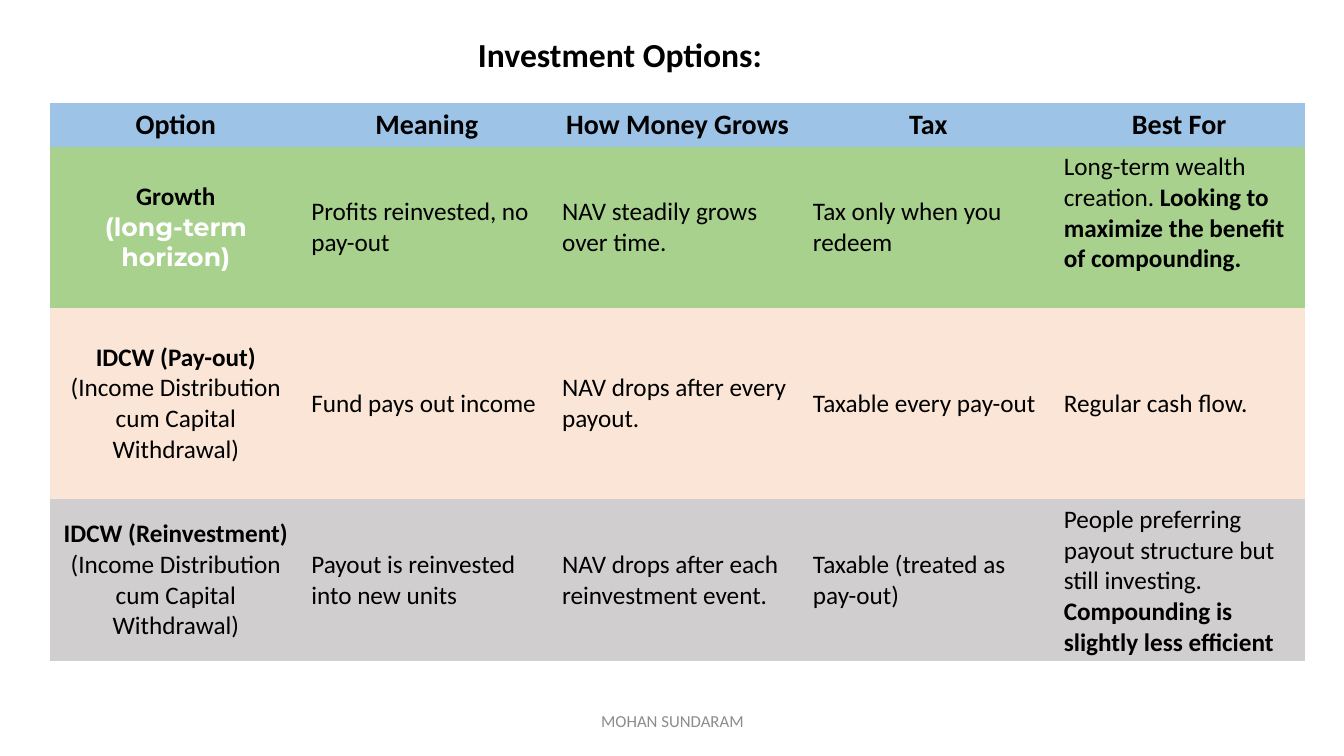
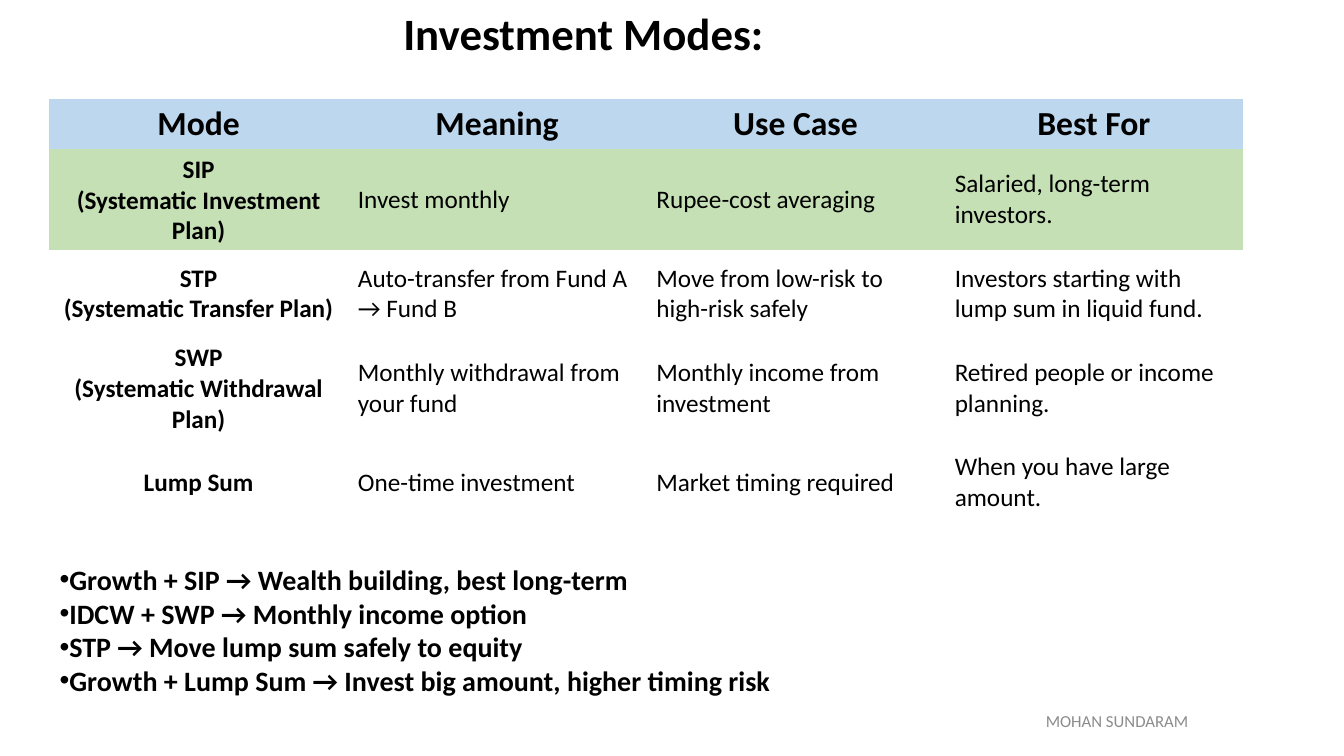
from pptx import Presentation
from pptx.dml.color import RGBColor
from pptx.enum.text import MSO_ANCHOR, MSO_AUTO_SIZE, PP_ALIGN
from pptx.oxml.ns import qn
from pptx.util import Inches, Pt

BLACK = RGBColor(0x00, 0x00, 0x00)
WHITE = RGBColor(0xFF, 0xFF, 0xFF)
GRAY = RGBColor(0x8C, 0x8C, 0x8C)
BLUE = RGBColor(0x9D, 0xC3, 0xE6)
PALE_BLUE = RGBColor(0xBD, 0xD7, 0xEE)
GREEN = RGBColor(0xA9, 0xD1, 0x8E)
PALE_GREEN = RGBColor(0xC5, 0xE0, 0xB4)
PEACH = RGBColor(0xFB, 0xE5, 0xD6)
SILVER = RGBColor(0xD0, 0xCE, 0xCE)

PLAIN = {"name": "Calibri", "size": Pt(18), "bold": False, "color": BLACK}
BOLD = {**PLAIN, "bold": True}
ACCENT = {**BOLD, "name": "Montserrat", "color": WHITE}
BULLET = {**BOLD, "size": Pt(20)}
FOOTER = {**PLAIN, "size": Pt(12), "color": GRAY}
NO_GRID_STYLE = "{2D5ABB26-0587-4C30-8999-92F81FD0307C}"
IDCW = "(Income Distribution cum Capital Withdrawal)"

SLIDES = [
    {
        "layout": 5,
        "title": "Investment Options:",
        "title_size": 24,
        "title_box": (4.64, 0.31, 3.05, 0.5),
        "footer_left": 4.42,
        "table_box": (0.5, 1.02, 12.44, 5.53),
        "header": ["Option", "Meaning", "How Money Grows", "Tax", "Best For"],
        "header_size": 20,
        "row_heights": [0.43, 1.6, 1.9, 1.6],
        "fills": [BLUE, GREEN, PEACH, SILVER],
        "rows": [
            [
                [[("Growth", BOLD)], [("(long-term horizon)", ACCENT)]],
                "Profits reinvested, no pay-out",
                "NAV steadily grows over time.",
                "Tax only when you redeem",
                [[("Long-term wealth creation. ", PLAIN),
                  ("Looking to maximize the benefit of compounding.", BOLD)]],
            ],
            [
                [[("IDCW (Pay-out)", BOLD)], [(IDCW, PLAIN)]],
                "Fund pays out income",
                "NAV drops after every payout.",
                "Taxable every pay-out",
                "Regular cash flow.",
            ],
            [
                [[("IDCW (Reinvestment)", BOLD)], [(IDCW, PLAIN)]],
                "Payout is reinvested into new units",
                "NAV drops after each reinvestment event.",
                "Taxable (treated as pay-out)",
                [[("People preferring payout structure but still investing.", PLAIN)],
                 [("Compounding is slightly less efficient", BOLD)]],
            ],
        ],
        "bottom_margins": {(1, 4): 0.35},
        "bullets": [],
    },
    {
        "layout": 1,
        "title": "Investment Modes:",
        "title_size": 32,
        "title_box": (3.9, 0.05, 5.03, 0.61),
        "footer_left": 8.83,
        "table_box": (0.49, 0.98, 11.84, 3.98),
        "header": ["Mode", "Meaning", "Use Case", "Best For"],
        "header_size": 24,
        "row_heights": [0.5] + [0.87] * 4,
        "fills": [PALE_BLUE, PALE_GREEN, None, None, None],
        "rows": [
            [
                [[("SIP", BOLD)], [("(Systematic Investment Plan)", BOLD)]],
                "Invest monthly",
                "Rupee-cost averaging",
                "Salaried, long-term investors.",
            ],
            [
                [[("STP", BOLD)], [("(Systematic Transfer Plan)", BOLD)]],
                "Auto-transfer from Fund A → Fund B",
                "Move from low-risk to high-risk safely",
                "Investors starting with lump sum in liquid fund.",
            ],
            [
                [[("SWP", BOLD)], [("(Systematic Withdrawal Plan)", BOLD)]],
                "Monthly withdrawal from your fund",
                "Monthly income from investment",
                "Retired people or income planning.",
            ],
            [
                [[("Lump Sum", BOLD)]],
                "One-time investment",
                "Market timing required",
                "When you have large amount.",
            ],
        ],
        "bottom_margins": {},
        "bullets": [
            "Growth + SIP → Wealth building, best long-term",
            "IDCW + SWP → Monthly income option",
            "STP → Move lump sum safely to equity",
            "Growth + Lump Sum → Invest big amount, higher timing risk",
        ],
    },
]


def write_paragraphs(text_frame, paragraphs, alignment):
    for index, runs in enumerate(paragraphs):
        paragraph = text_frame.add_paragraph() if index else text_frame.paragraphs[0]
        paragraph.alignment = alignment
        for text, text_format in runs:
            run = paragraph.add_run()
            run.text = text
            for attribute, value in text_format.items():
                if attribute == "color":
                    run.font.color.rgb = value
                else:
                    setattr(run.font, attribute, value)


def place(shape, box):
    for attribute, value in zip(("left", "top", "width", "height"), box):
        setattr(shape, attribute, Inches(value))


presentation = Presentation()
presentation.slide_width = Inches(13.33)
presentation.slide_height = Inches(7.5)

for content in SLIDES:
    slide = presentation.slides.add_slide(presentation.slide_layouts[content["layout"]])

    title = slide.shapes.title
    place(title, content["title_box"])
    title.text_frame.auto_size = MSO_AUTO_SIZE.NONE
    title.text_frame.vertical_anchor = MSO_ANCHOR.MIDDLE
    title_format = {**BOLD, "size": Pt(content["title_size"])}
    write_paragraphs(title.text_frame, [[(content["title"], title_format)]], PP_ALIGN.LEFT)
    title.text_frame.paragraphs[0].line_spacing = 0.9

    footer = slide.shapes.add_textbox(
        Inches(content["footer_left"]), Inches(6.95), Inches(4.5), Inches(0.4))
    footer.text_frame.word_wrap = True
    footer.text_frame.vertical_anchor = MSO_ANCHOR.MIDDLE
    write_paragraphs(footer.text_frame, [[("MOHAN SUNDARAM", FOOTER)]], PP_ALIGN.CENTER)

    header_format = {**BOLD, "size": Pt(content["header_size"])}
    header = [[[(text, header_format)]] for text in content["header"]]
    rows = [header] + content["rows"]
    table_box = [Inches(value) for value in content["table_box"]]
    table_frame = slide.shapes.add_table(len(rows), len(header), *table_box)
    next(table_frame._element.iter(qn("a:tableStyleId"))).text = NO_GRID_STYLE
    table = table_frame.table
    for row_index, row in enumerate(rows):
        table.rows[row_index].height = Inches(content["row_heights"][row_index])
        fill = content["fills"][row_index]
        for column_index, value in enumerate(row):
            cell = table.cell(row_index, column_index)
            cell.vertical_anchor = MSO_ANCHOR.MIDDLE
            if fill is None:
                cell.fill.background()
            else:
                cell.fill.solid()
                cell.fill.fore_color.rgb = fill
            if (row_index, column_index) in content["bottom_margins"]:
                cell.margin_bottom = Inches(content["bottom_margins"][row_index, column_index])
            paragraphs = [[(value, PLAIN)]] if isinstance(value, str) else value
            centered = row_index == 0 or column_index == 0
            alignment = PP_ALIGN.CENTER if centered else PP_ALIGN.LEFT
            write_paragraphs(cell.text_frame, paragraphs, alignment)

    if content["bullets"]:
        body = slide.placeholders[1]
        place(body, (0.49, 5.53, 8.62, 1.45))
        body.text_frame.auto_size = MSO_AUTO_SIZE.NONE
        bullets = [[(text, BULLET)] for text in content["bullets"]]
        write_paragraphs(body.text_frame, bullets, PP_ALIGN.LEFT)
        for paragraph in body.text_frame.paragraphs:
            paragraph.space_before = Pt(0)
            properties = paragraph._p.get_or_add_pPr()
            properties.set("marL", "0")
            properties.set("indent", "0")

presentation.save("out.pptx")
